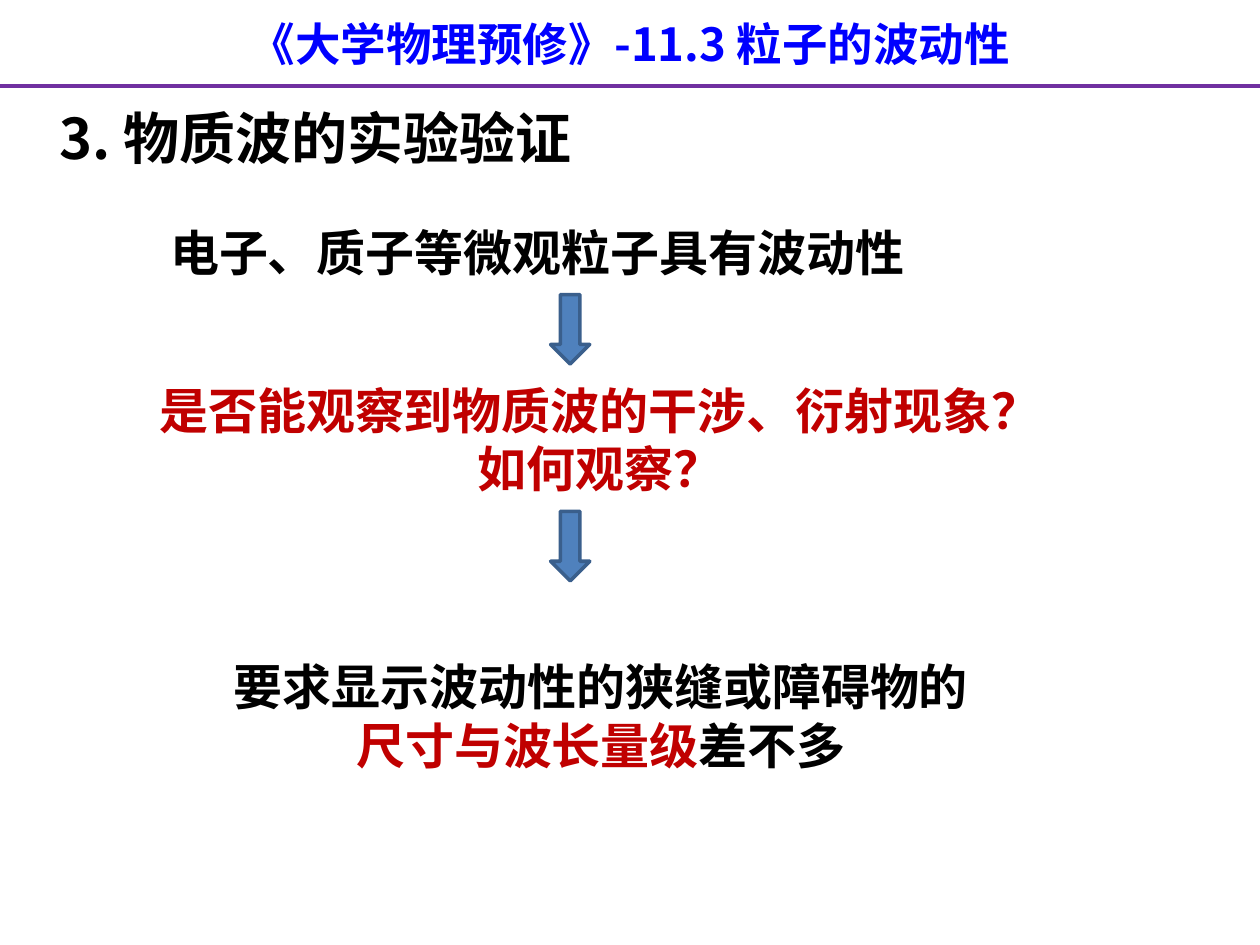
from lxml.etree import SubElement as Sub
from pptx import Presentation
from pptx.dml.color import RGBColor as RGB
from pptx.enum.shapes import MSO_CONNECTOR as CONN, MSO_SHAPE as SHAPE
from pptx.enum.text import MSO_ANCHOR as ANCHOR, PP_ALIGN as AL
from pptx.oxml.ns import qn
from pptx.util import Cm, Pt

COLORS = {"white": "FFFFFF", "black": "000000", "blue": "0000FF", "red": "C00000",
          "purple": "7030A0", "arrow": "4F81BD", "edge": "3A5F8C"}
FONT = "Noto Sans CJK SC"


def rgb(name):
    return RGB.from_string(COLORS[name])


def write(p, text, size=28, color="black", bold=True):
    r = p.add_run()
    r.text = text
    r.font.name, r.font.size, r.font.bold = FONT, Pt(size), bold
    r.font.color.rgb = rgb(color)
    Sub(r.font._element, qn("a:ea"), typeface=FONT)


class Deck:
    def __init__(self, width, height):
        self.prs = Presentation()
        self.prs.slide_width, self.prs.slide_height = Cm(width), Cm(height)
        self.s = self.prs.slides.add_slide(self.prs.slide_layouts[5])

    def fill_text(self, sp, lines, size, align):
        tf = sp.text_frame
        tf.word_wrap = True
        tf.vertical_anchor = ANCHOR.TOP
        for i, runs in enumerate(lines):
            p = tf.add_paragraph() if i else tf.paragraphs[0]
            p.alignment = align
            p.line_spacing = Pt(round(size * 1.2, 1))
            for text, color in runs:
                write(p, text, size=size, color=color)

    def title(self, box, text, size=32):
        sp = self.s.shapes.title
        sp.left, sp.top, sp.width, sp.height = map(Cm, box)
        sp.fill.solid()
        sp.fill.fore_color.rgb = rgb("white")
        self.fill_text(sp, [[(text, "black")]], size, AL.LEFT)

    def text(self, box, lines, size=28, align=AL.CENTER):
        sp = self.s.shapes.add_textbox(*map(Cm, box))
        self.fill_text(sp, lines, size, align)

    def rule(self, y, color="purple", width=2.25):
        ln = self.s.shapes.add_connector(CONN.STRAIGHT, 0, Cm(y), self.prs.slide_width, Cm(y))
        ln.line.color.rgb, ln.line.width = rgb(color), Pt(width)
        Sub(ln._element.spPr, qn("a:effectLst"))

    def down_arrow(self, top):
        sp = self.s.shapes.add_shape(SHAPE.DOWN_ARROW, Cm(11.1), Cm(top), Cm(0.79), Cm(1.4))
        sp.shadow.inherit = False
        sp.fill.solid()
        sp.fill.fore_color.rgb = rgb("arrow")
        sp.line.color.rgb, sp.line.width = rgb("edge"), Pt(2)


deck = Deck(25.4, 19.05)
deck.text((0, 0.2, 25.4, 1.37), [[("《大学物理预修》-11.3 粒子的波动性", "blue")]], size=26)
deck.rule(1.73)
deck.title((0.94, 1.96, 12.75, 1.63), "3. 物质波的实验验证")
deck.text((2.77, 7.54, 18.64, 2.64),
          [[("是否能观察到物质波的干涉、衍射现象？", "red")], [("如何观察？", "red")]])
deck.text((3.18, 4.37, 15.88, 1.45), [[("电子、质子等微观粒子具有波动性", "black")]], align=AL.LEFT)
for top in (5.94, 10.31):
    deck.down_arrow(top)
deck.text((3.58, 13.11, 17.07, 2.64),
          [[("要求显示波动性的狭缝或障碍物的", "black")],
           [("尺寸与波长量级", "red"), ("差不多", "black")]])
deck.prs.save("out.pptx")
